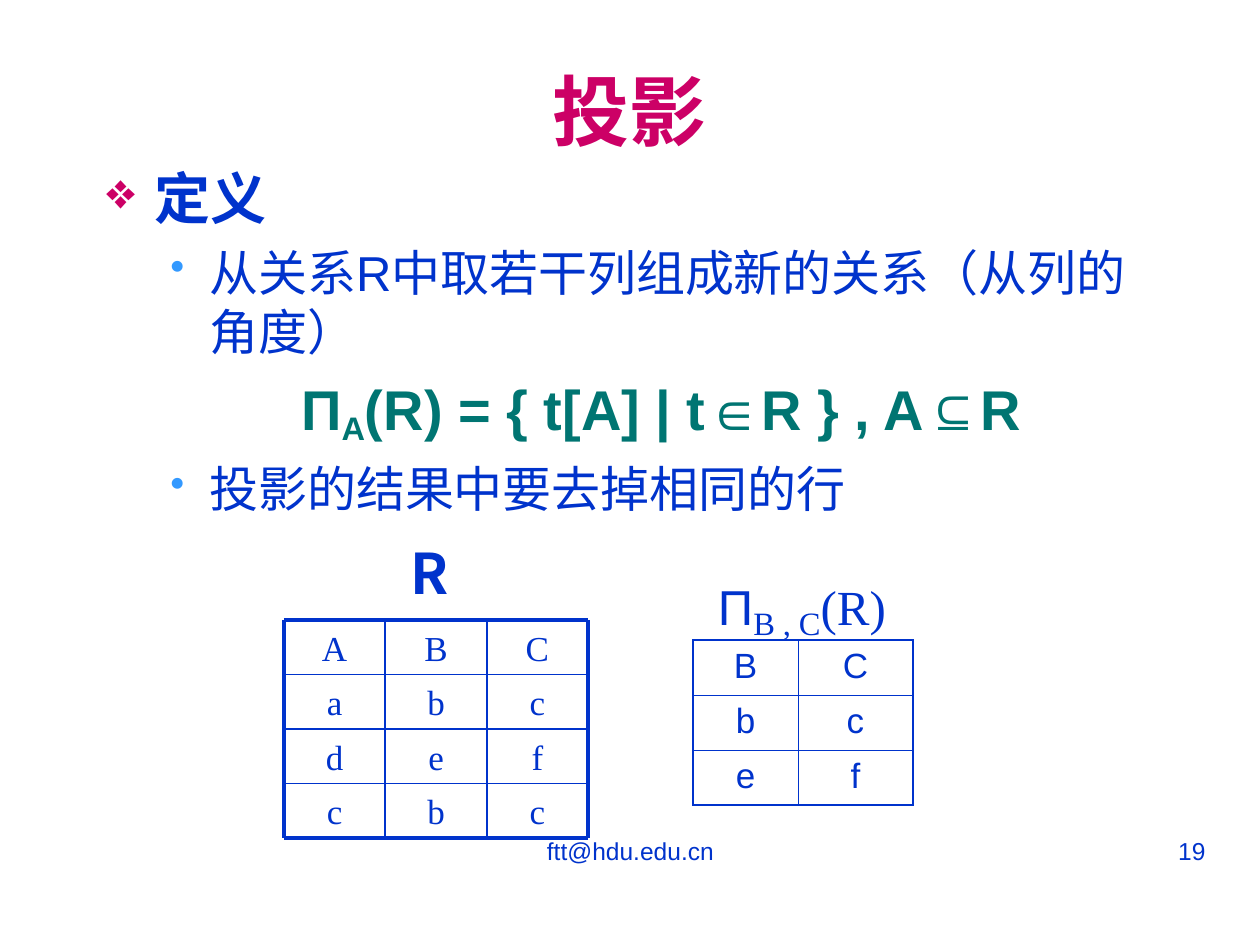
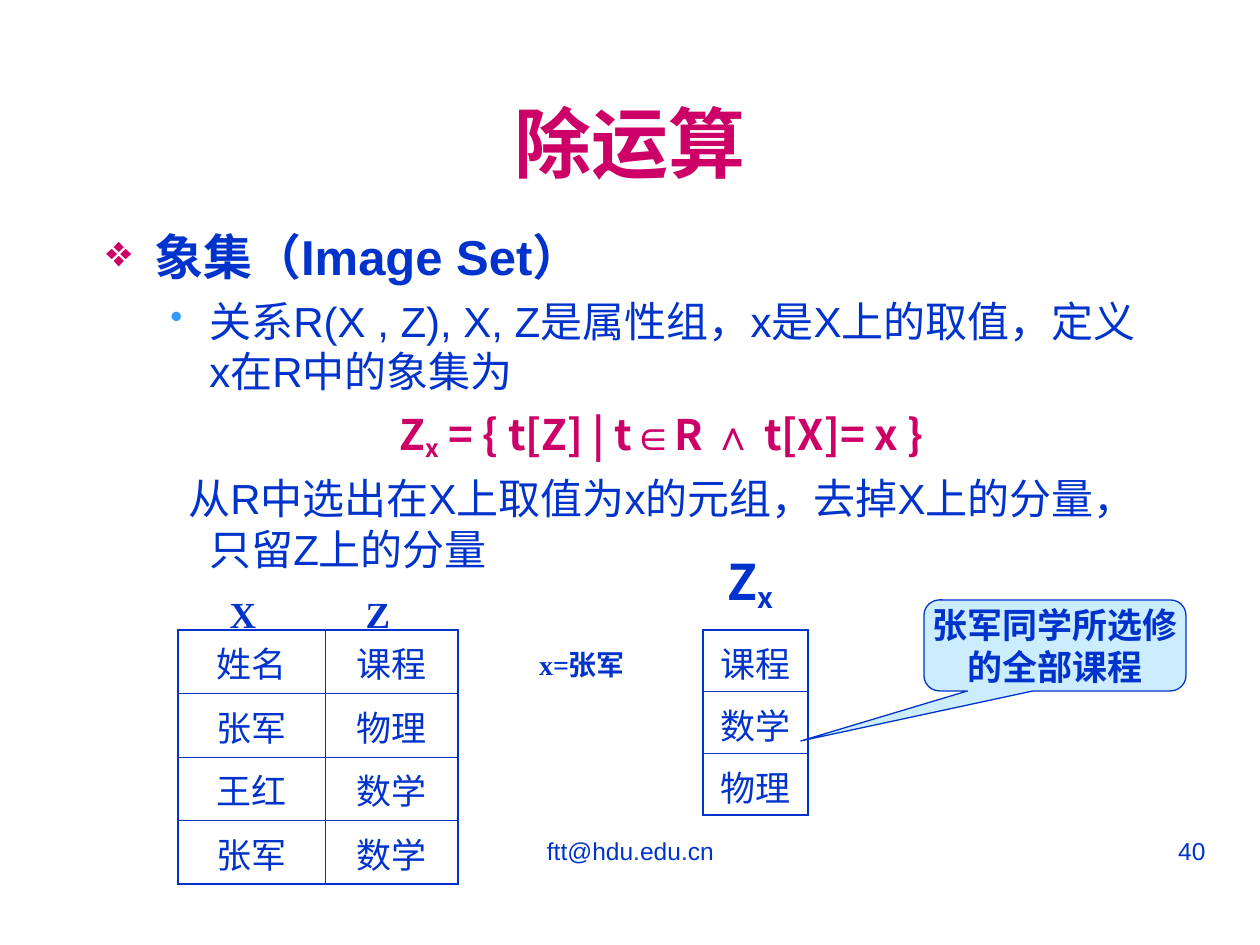
"""Build two slides on relational algebra: projection and division."""
from lxml import etree
from pptx import Presentation
from pptx.dml.color import RGBColor
from pptx.enum.shapes import MSO_CONNECTOR, MSO_SHAPE
from pptx.enum.text import MSO_ANCHOR, MSO_AUTO_SIZE, PP_ALIGN
from pptx.oxml.ns import qn
from pptx.util import Emu, Pt

BLUE = RGBColor(0x00, 0x33, 0xCC)
MAGENTA = RGBColor(0xCC, 0x00, 0x66)
SKY = RGBColor(0x33, 0x99, 0xFF)
TEAL = RGBColor(0x00, 0x75, 0x72)
PALE = RGBColor(0xCC, 0xEC, 0xFF)
ARIAL, TIMES, NOTO = "Arial", "Times New Roman", "Noto Sans CJK SC"
LEFT, CENTER, RIGHT = PP_ALIGN.LEFT, PP_ALIGN.CENTER, PP_ALIGN.RIGHT
TOP, MIDDLE, BOTTOM = MSO_ANCHOR.TOP, MSO_ANCHOR.MIDDLE, MSO_ANCHOR.BOTTOM
NO_FIT = MSO_AUTO_SIZE.NONE
CALLOUT = MSO_SHAPE.ROUNDED_RECTANGULAR_CALLOUT
STRAIGHT = MSO_CONNECTOR.STRAIGHT
EMU_PER_PX = 914400 / 126
LINE_FACTOR = 1.2
TITLE_ONLY = 5
DIAMOND = ("❖", MAGENTA, 90)
DOT = ("•", SKY, 85)


def px(length):
    """Turn px into EMU."""
    return Emu(round(length * EMU_PER_PX))


def add_span(para, text, *, size, color=BLUE, font=ARIAL, bold=False, shift=0):
    """Append formatted text; shift is the baseline offset in percent."""
    span = para.add_run()
    span.text = text
    span.font.size = Pt(size)
    span.font.bold = bold
    span.font.name = font
    span.font.color.rgb = color
    properties = span._r.get_or_add_rPr()
    if shift:
        properties.set("baseline", str(shift * 1000))
    etree.SubElement(properties, qn("a:ea"), typeface=NOTO)


def set_bullet(para, left, hanging, bullet=None):
    """Set the hanging indent of a paragraph and its bullet."""
    properties = para._p.get_or_add_pPr()
    properties.set("marL", str(px(left)))
    properties.set("indent", str(px(-hanging)))
    if bullet is None:
        etree.SubElement(properties, qn("a:buNone"))
        return
    sign, color, percent = bullet
    tint = etree.SubElement(properties, qn("a:buClr"))
    etree.SubElement(tint, qn("a:srgbClr"), val=str(color))
    etree.SubElement(properties, qn("a:buSzPct"), val=str(percent * 1000))
    etree.SubElement(properties, qn("a:buChar"), char=sign)


def set_borders(cell, widths):
    """Draw the left, right, top and bottom borders of a cell."""
    properties = cell._tc.get_or_add_tcPr()
    for index, (side, width) in enumerate(zip("LRTB", widths)):
        line = etree.Element(qn(f"a:ln{side}"), w=str(Pt(width)))
        fill = etree.SubElement(line, qn("a:solidFill"))
        etree.SubElement(fill, qn("a:srgbClr"), val=str(BLUE))
        properties.insert(index, line)


class SlideWriter:
    """Hold the deck style and the current page."""

    def __init__(self):
        """Start an empty deck."""
        self.deck = Presentation()
        self.deck.slide_width, self.deck.slide_height = px(1260), px(945)
        self.page = None

    def start_page(self, title, number, title_box):
        """Add a page with its title, footer and page number."""
        self.page = self.deck.slides.add_slide(self.deck.slide_layouts[TITLE_ONLY])
        holder = self.page.shapes.title
        holder.left, holder.top, holder.width, holder.height = map(px, title_box)
        frame = holder.text_frame
        frame.auto_size = NO_FIT
        frame.vertical_anchor = MIDDLE
        frame.paragraphs[0].alignment = CENTER
        add_span(frame.paragraphs[0], title, size=44, color=MAGENTA, bold=True)
        self.add_line_of_text((431, 830, 399, 66), "ftt@hdu.edu.cn", CENTER, size=14)
        self.add_line_of_text((903, 830, 315, 66), number, RIGHT, size=14)

    def add_box(self, bounds, anchor=TOP):
        """Add a wrapping text box and return its frame."""
        frame = self.page.shapes.add_textbox(*map(px, bounds)).text_frame
        frame.word_wrap = True
        frame.auto_size = NO_FIT
        frame.vertical_anchor = anchor
        return frame

    def add_line_of_text(self, bounds, text, align, **style):
        """Add a text box with one aligned line."""
        para = self.add_box(bounds).paragraphs[0]
        para.alignment = align
        add_span(para, text, **style)

    def add_body(self, top, items):
        """Add the outline from (spans, size, layout) items."""
        frame = self.add_box((94, top, 1071, 567))
        for index, (spans, size, layout) in enumerate(items):
            para = frame.add_paragraph() if index else frame.paragraphs[0]
            set_bullet(para, layout["left"], layout["hanging"], layout.get("bullet"))
            para.alignment = layout.get("align", LEFT)
            para.line_spacing = Pt(round(size * LINE_FACTOR, 1))
            if index:
                para.space_before = Pt(size // 4)
            para.space_after = Pt(layout.get("after", 0))
            for text, style in spans:
                add_span(para, text, size=size, **style)

    def add_label(self, center, bottom, spans):
        """Add a one-line label centred over a point, standing on bottom."""
        frame = self.add_box((center - 120, bottom - 80, 240, 80), BOTTOM)
        frame.margin_top = frame.margin_bottom = 0
        para = frame.paragraphs[0]
        para.alignment = CENTER
        for text, style in spans:
            add_span(para, text, **style)

    def add_line(self, start, end, width):
        """Add a straight blue line."""
        line = self.page.shapes.add_connector(STRAIGHT, *map(px, start + end))
        line.line.color.rgb = BLUE
        line.line.width = Pt(width)
        etree.SubElement(line._element.spPr, qn("a:effectLst"))

    def add_drawn_grid(self, left, top, width, height, rows):
        """Add a grid of text boxes ruled with lines, heavy at the edges."""
        row_count, column_count = len(rows), len(rows[0])
        row_step, column_step = height / row_count, width / column_count
        for row, values in enumerate(rows):
            for column, value in enumerate(values):
                bounds = (left + column * column_step, top + row * row_step, column_step, row_step)
                self.add_line_of_text(bounds, value, CENTER, size=20, font=TIMES)
        for row in range(row_count + 1):
            level = top + row * row_step
            self.add_line((left, level), (left + width, level),
                          2.25 if row in (0, row_count) else 1)
        for column in range(column_count + 1):
            across = left + column * column_step
            self.add_line((across, top), (across, top + height),
                          2.25 if column in (0, column_count) else 1)

    def add_grid(self, left, top, columns, height, rows):
        """Add a ruled table with equal rows."""
        table = self.page.shapes.add_table(len(rows), len(columns), px(left), px(top),
                                           px(sum(columns)), px(height)).table
        table.first_row = table.horz_banding = False
        for column, width in zip(table.columns, columns):
            column.width = px(width)
        last_row, last_column = len(rows) - 1, len(columns) - 1
        for row, values in enumerate(rows):
            for column, value in enumerate(values):
                cell = table.cell(row, column)
                cell.fill.background()
                cell.margin_top, cell.margin_bottom = px(7), px(2)
                edges = (column == 0, column == last_column, row == 0, row == last_row)
                set_borders(cell, [1.08 if edge else 0.45 for edge in edges])
                para = cell.text_frame.paragraphs[0]
                para.alignment = CENTER
                add_span(para, value, size=20)

    def add_callout(self, bounds, text, adjustments):
        """Add a rounded callout with bold text."""
        shape = self.page.shapes.add_shape(CALLOUT, *map(px, bounds))
        shape.shadow.inherit = False
        for index, value in enumerate(adjustments):
            shape.adjustments[index] = value
        shape.fill.solid()
        shape.fill.fore_color.rgb = PALE
        shape.line.color.rgb = BLUE
        shape.line.width = Pt(0.75)
        frame = shape.text_frame
        frame.word_wrap = True
        frame.vertical_anchor = MIDDLE
        frame.margin_left = frame.margin_right = frame.margin_top = frame.margin_bottom = 0
        para = frame.paragraphs[0]
        para.alignment = CENTER
        para.line_spacing = Pt(20 * LINE_FACTOR)
        add_span(para, text, size=20, font=TIMES, bold=True)


HEADING = {"left": 48, "hanging": 48, "bullet": DIAMOND}
POINT = {"left": 103, "hanging": 39, "bullet": DOT, "after": 3}
FORMULA = {"left": 103, "hanging": 39, "align": CENTER}
REMARK = {"left": 103, "hanging": 21}
PLAIN, BOLD = {}, {"bold": True}


def build_projection(writer):
    """Build the projection page."""
    writer.start_page("投影", "19", (94, 31, 1071, 157))
    strong = {"color": TEAL, "bold": True}
    writer.add_body(157, [
        ([("定义", BOLD)], 32, HEADING),
        ([("从关系R中取若干列组成新的关系（从列的角度）", PLAIN)], 28, POINT),
        ([("Π", strong), ("A", {**strong, "shift": -18}),
          ("(R) = { t[A] | t∈R } , A⊆R", strong)], 32, FORMULA),
        ([("投影的结果中要去掉相同的行", PLAIN)], 28, POINT),
    ])
    writer.add_drawn_grid(284, 620, 304, 218, ("ABC", "abc", "def", "cbc"))
    writer.add_grid(693, 640, (105, 115), 165, ("BC", "bc", "ef"))
    writer.add_label(802, 642, [("Π", {"size": 28}),
                                ("B , C", {"size": 32, "font": TIMES, "shift": -18}),
                                ("(R)", {"size": 28, "font": TIMES})])
    writer.add_label(430, 606, [("R", {"size": 32, "font": NOTO, "bold": True})])


def build_division(writer):
    """Build the division page."""
    writer.start_page("除运算", "40", (42, 63, 1177, 157))
    strong = {"color": MAGENTA, "font": NOTO, "bold": True}
    symbol = {"color": MAGENTA, "bold": True}
    writer.add_body(220, [
        ([("象集（Image Set）", BOLD)], 28, HEADING),
        ([("关系R(X , Z), X, Z是属性组，x是X上的取值，定义x在R中的象集为", PLAIN)], 24, POINT),
        ([("Z", strong), ("x", {**strong, "shift": -16}), (" = { t[Z] | t", strong),
          ("∈", symbol), ("R ", strong), ("∧", symbol), (" t[X]= x }", strong)], 24, FORMULA),
        ([("从R中选出在X上取值为x的元组，去掉X上的分量，只留Z上的分量", PLAIN)], 24, REMARK),
    ])
    writer.add_grid(178, 630, (147, 133), 254, (("姓名", "课程"), ("张军", "物理"),
                                                ("王红", "数学"), ("张军", "数学")))
    writer.add_grid(703, 630, (105,), 185, (("课程",), ("数学",), ("物理",)))
    for center, name in ((243, "X"), (378, "Z")):
        writer.add_label(center, 636, [(name, {"size": 21, "font": TIMES, "bold": True})])
    set_name = {"size": 28, "font": NOTO, "bold": True}
    writer.add_label(751, 614, [("Z", set_name), ("x", {**set_name, "shift": -16})])
    writer.add_label(582, 681, [("x=张军", {"size": 16, "font": TIMES, "bold": True})])
    writer.add_callout((924, 600, 262, 91), "张军同学所选修的全部课程", (-0.97, 1.05, 0.17))


def main():
    """Build and save the deck."""
    writer = SlideWriter()
    build_projection(writer)
    build_division(writer)
    writer.deck.save("out.pptx")


if __name__ == "__main__":
    main()
